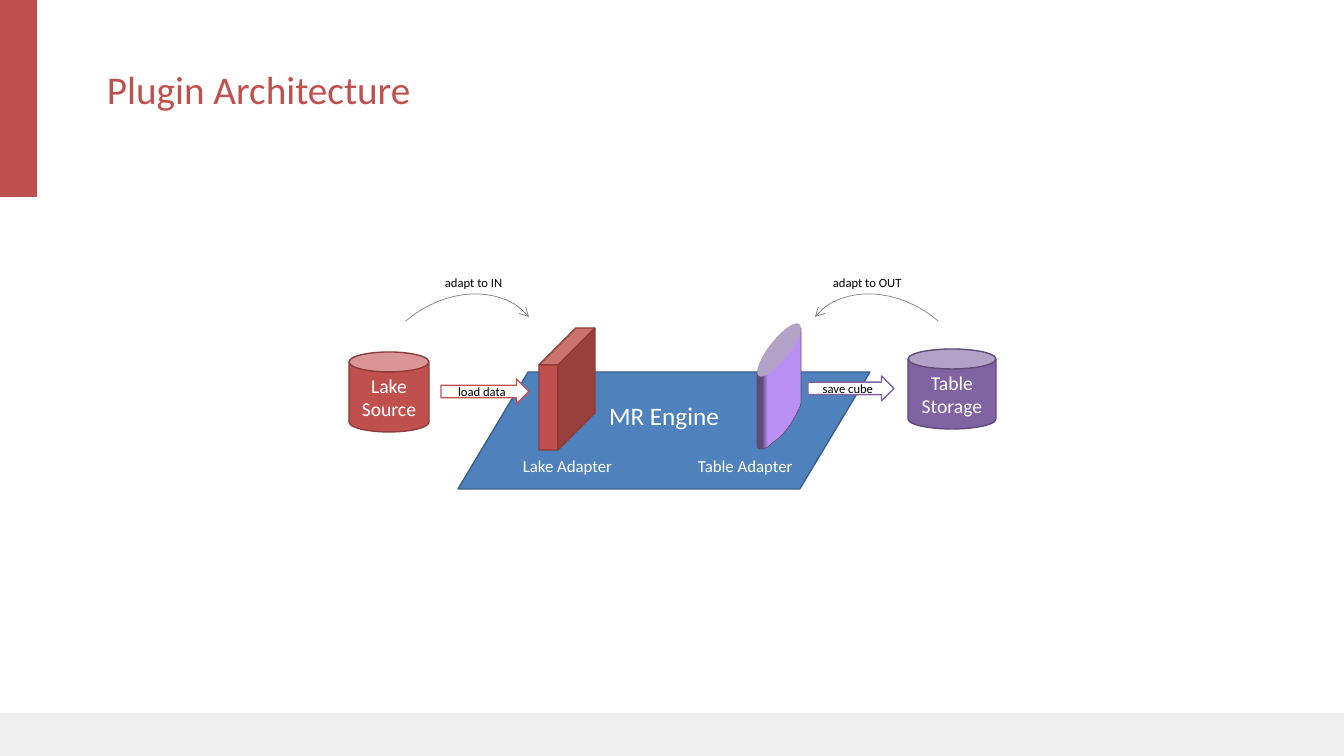
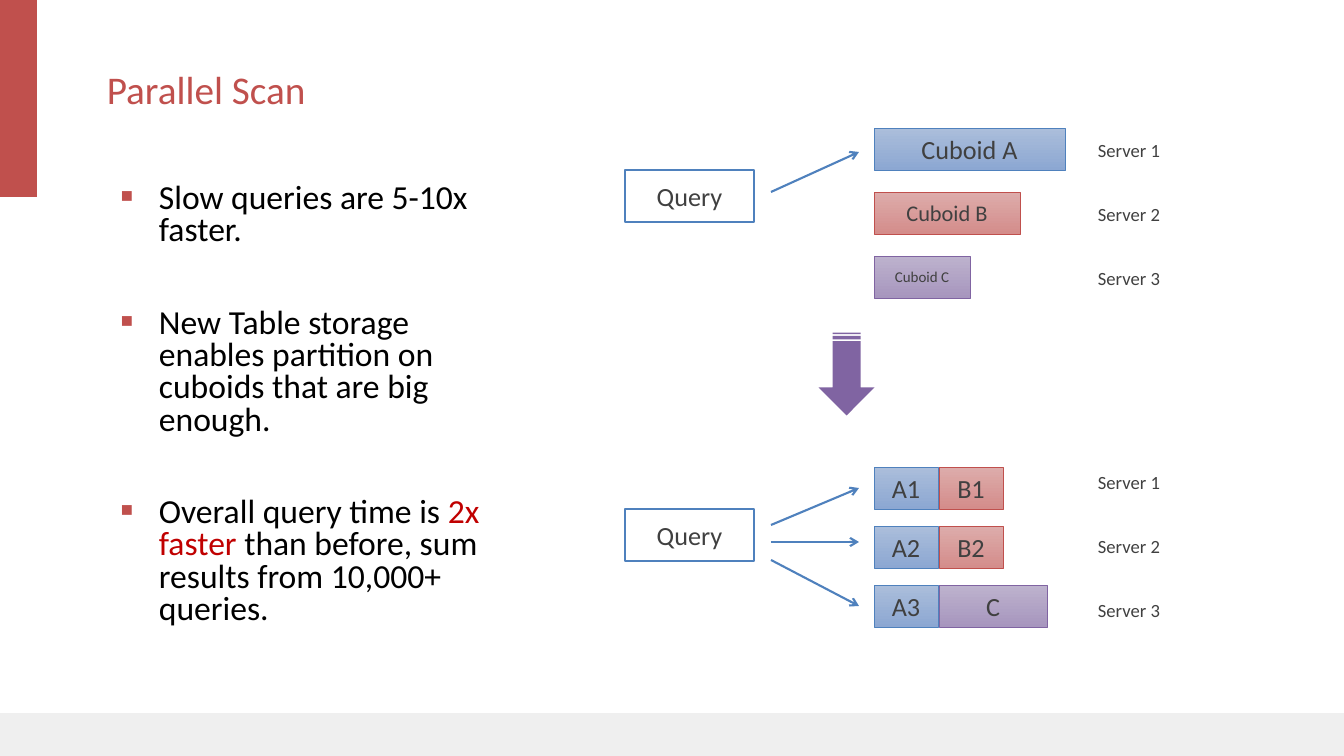
"""Builds two slides: a plugin architecture and a parallel scan."""
from math import cos, pi, radians
from lxml.etree import SubElement
from pptx import Presentation
from pptx.dml.color import RGBColor
from pptx.enum.shapes import MSO_CONNECTOR, MSO_SHAPE
from pptx.enum.text import MSO_ANCHOR, PP_ALIGN
from pptx.oxml.ns import qn
from pptx.util import Pt

PX = 9071
THEME = {
    "font": "Calibri",
    "red": "C0504D", "blue": "4F81BD", "plum": "8064A2",
    "rust": "8E3B39", "navy": "3A5F8C", "grape": "5F4A78",
    "lilac": "B3A2C7", "violet": "BB90F5", "alert": "C00000",
    "white": "FFFFFF", "black": "000000", "ink": "404040",
    "grey": "808080", "pale": "EFEFEF",
    "blue fade": ("ABBEDB", "8CA7D2"),
    "red fade": ("DDACAB", "D48D8B"),
    "plum fade": ("BDB2CD", "A796BE"),
    "title": 28, "body": 24, "engine": 18, "query": 18.7, "mid": 16,
    "store": 14, "server": 13.3, "label": 12, "small": 10.7, "note": 9,
}


def dress(shape, fill=None, line=None, width=1, tip=False, angle=270, stops=(0, 1)):
    """Sets fill, line, arrowhead and lack of shadow."""
    if hasattr(shape, "fill"):
        if fill is None:
            shape.fill.background()
        elif isinstance(THEME[fill], tuple):
            shape.fill.gradient()
            shape.fill.gradient_angle = angle
            for stop, tone, spot in zip(shape.fill.gradient_stops, THEME[fill], stops):
                stop.color.rgb = RGBColor.from_string(tone)
                stop.position = spot
        else:
            shape.fill.solid()
            shape.fill.fore_color.rgb = RGBColor.from_string(THEME[fill])
    if line:
        shape.line.color.rgb = RGBColor.from_string(THEME[line])
        shape.line.width = Pt(width)
    else:
        shape.line.fill.background()
    prop = shape._element.spPr
    if tip:
        SubElement(prop.find(qn("a:ln")), qn("a:tailEnd"), type="arrow")
    if hasattr(shape, "shadow"):
        shape.shadow.inherit = False
    else:
        SubElement(prop, qn("a:effectLst"))
    return shape


def put(slide, kind, box, text=None, size="note", tone="black", frame=None, para=None, **look):
    """Adds a shape, or a text box if kind is None."""
    box = [n * PX for n in box]
    if kind is None:
        shape = slide.shapes.add_textbox(*box)
    else:
        shape = dress(slide.shapes.add_shape(kind, *box), **look)
    body = shape.text_frame
    base = {"word_wrap": kind is not None}
    if kind is not None:
        base["vertical_anchor"] = MSO_ANCHOR.MIDDLE
    for key, val in {**base, **(frame or {})}.items():
        setattr(body, key, val)
    if text:
        first = body.paragraphs[0]
        side = PP_ALIGN.LEFT if kind is None else PP_ALIGN.CENTER
        for key, val in {"alignment": side, **(para or {})}.items():
            setattr(first, key, val)
        run = first.add_run()
        run.text = text
        for key, val in {"name": THEME["font"], "size": Pt(THEME[size])}.items():
            setattr(run.font, key, val)
        run.font.color.rgb = RGBColor.from_string(THEME[tone])
    return shape


deck = Presentation()
deck.slide_width, deck.slide_height = 1344 * PX, 756 * PX

pages = []
for title in ("Plugin Architecture", "Parallel Scan"):
    page = deck.slides.add_slide(deck.slide_layouts[6])
    put(page, MSO_SHAPE.RECTANGLE, (0, 713, 1344, 43), fill="pale")
    put(page, MSO_SHAPE.RECTANGLE, (0, 0, 37, 197), fill="red")
    put(page, None, (97, 44, 560, 96), title, "title", "red",
        {"word_wrap": True, "vertical_anchor": MSO_ANCHOR.MIDDLE},
        {"line_spacing": 0.9, "space_before": Pt(10)})
    pages.append(page)
plug, scan = pages

base = put(plug, MSO_SHAPE.PARALLELOGRAM, (458, 372, 412, 117), "MR Engine",
           "engine", "white", {"margin_bottom": 35 * PX}, fill="blue", line="navy")
base.adjustments[0] = 0.6
for text, left, wide in (("Lake Adapter", 513, 110), ("Table Adapter", 688, 123)):
    put(plug, None, (left, 451, wide, 30), text, "label", "white")
cube = put(plug, MSO_SHAPE.CUBE, (539, 328, 56, 122), fill="red", line="rust")
cube.adjustments[0] = 0.66

mid, top, deep = 779, 350, 72
rim = [(mid + 22 * cos(radians(a)), top + deep - 27 * cos(radians(a) - pi / 5))
       for a in range(0, -181, -10)]
pen = plug.shapes.build_freeform(mid + 22, top - 22, scale=PX)
pen.add_line_segments(rim + [(mid - 22, top + 22)], close=True)
THEME["sheet"] = (THEME["grape"], THEME["violet"])
dress(pen.convert_to_shape(), fill="sheet", line="grape", width=0.5, angle=0, stops=(0.12, 0.25))
lid = put(plug, MSO_SHAPE.OVAL, (mid - 10, top - 33, 20, 66), fill="lilac")
lid.rotation = 38

for text, box, tone in (("load data", (441, 379, 88, 25), "red"),
                        ("save cube", (808, 376, 86, 25), "plum")):
    put(plug, MSO_SHAPE.RIGHT_ARROW, box, text, fill="white", line=tone)
for text, box, tone, edge in (("Lake Source", (349, 352, 80, 80), "red", "rust"),
                              ("Table Storage", (908, 349, 88, 80), "plum", "grape")):
    put(plug, MSO_SHAPE.CAN, box, text, "store", "white", fill=tone, line=edge)
for left, turn, flip in ((358, 319.8, "0"), (792, 40.2, "1")):
    arc = put(plug, MSO_SHAPE.ARC, (left, 303, 194, 153), line="grey", width=0.5, tip=True)
    arc.rotation = turn
    arc._element.spPr.find(qn("a:xfrm")).set("flipH", flip)
for text, left, wide in (("adapt to IN", 435, 78), ("adapt to OUT", 823, 90)):
    put(plug, None, (left, 270, wide, 25), text)

points = (
    (("Slow queries are 5-10x faster.", "black"),),
    (("New Table storage enables partition on cuboids that are big enough.", "black"),),
    (("Overall query time is ", "black"), ("2x faster", "alert"),
     (" than before, sum results from 10,000+ queries.", "black")),
)
body = put(scan, None, (111, 179, 420, 461), frame={"word_wrap": True}).text_frame
for i, parts in enumerate(points):
    para = body.paragraphs[0] if i == 0 else body.add_paragraph()
    for key, val in {"line_spacing": 0.8, "space_before": Pt(43 if i else 10)}.items():
        setattr(para, key, val)
    prop = para._p.get_or_add_pPr()
    prop.set("marL", str(38 * PX))
    prop.set("indent", str(-38 * PX))
    SubElement(SubElement(prop, qn("a:buClr")), qn("a:srgbClr"), val=THEME["red"])
    SubElement(prop, qn("a:buSzPct"), val="60000")
    SubElement(prop, qn("a:buFont"), typeface="Arial")
    SubElement(prop, qn("a:buChar"), char="■")
    for text, tone in parts:
        run = para.add_run()
        run.text = text
        for key, val in {"name": THEME["font"], "size": Pt(THEME["body"])}.items():
            setattr(run.font, key, val)
        run.font.color.rgb = RGBColor.from_string(THEME[tone])

for y in (170, 509):
    put(scan, MSO_SHAPE.RECTANGLE, (625, y, 129, 52), "Query", "query", "ink", line="blue")
rows = (
    (128, 64, ((("Cuboid A", 191, "blue", "query"),),
               (("Cuboid B", 146, "red", "mid"),),
               (("Cuboid C", 96, "plum", "small"),))),
    (467, 59, ((("A1", 64, "blue", "query"), ("B1", 64, "red", "query")),
               (("A2", 64, "blue", "query"), ("B2", 64, "red", "query")),
               (("A3", 64, "blue", "query"), ("C", 108, "plum", "query")))),
)
for y, step, group in rows:
    for i, row in enumerate(group):
        x = 874
        for text, wide, tone, size in row:
            put(scan, MSO_SHAPE.RECTANGLE, (x, y + i * step, wide, 42), text, size, "ink",
                fill=tone + " fade", line=tone, width=0.5)
            x += wide + 1
for y in (134, 466):
    for i in range(3):
        put(scan, None, (1088, y + 64 * i, 83, 33), f"Server {i + 1}", "server", "ink")

down = put(scan, MSO_SHAPE.STRIPED_RIGHT_ARROW, (805, 346, 83, 56), fill="plum")
down.rotation = 90
for y, end in ((192, 152), (525, 488), (542, 542), (560, 606)):
    wire = scan.shapes.add_connector(MSO_CONNECTOR.STRAIGHT, 771 * PX, y * PX, 859 * PX, end * PX)
    dress(wire, line="blue", width=1.5, tip=True)

deck.save("out.pptx")
